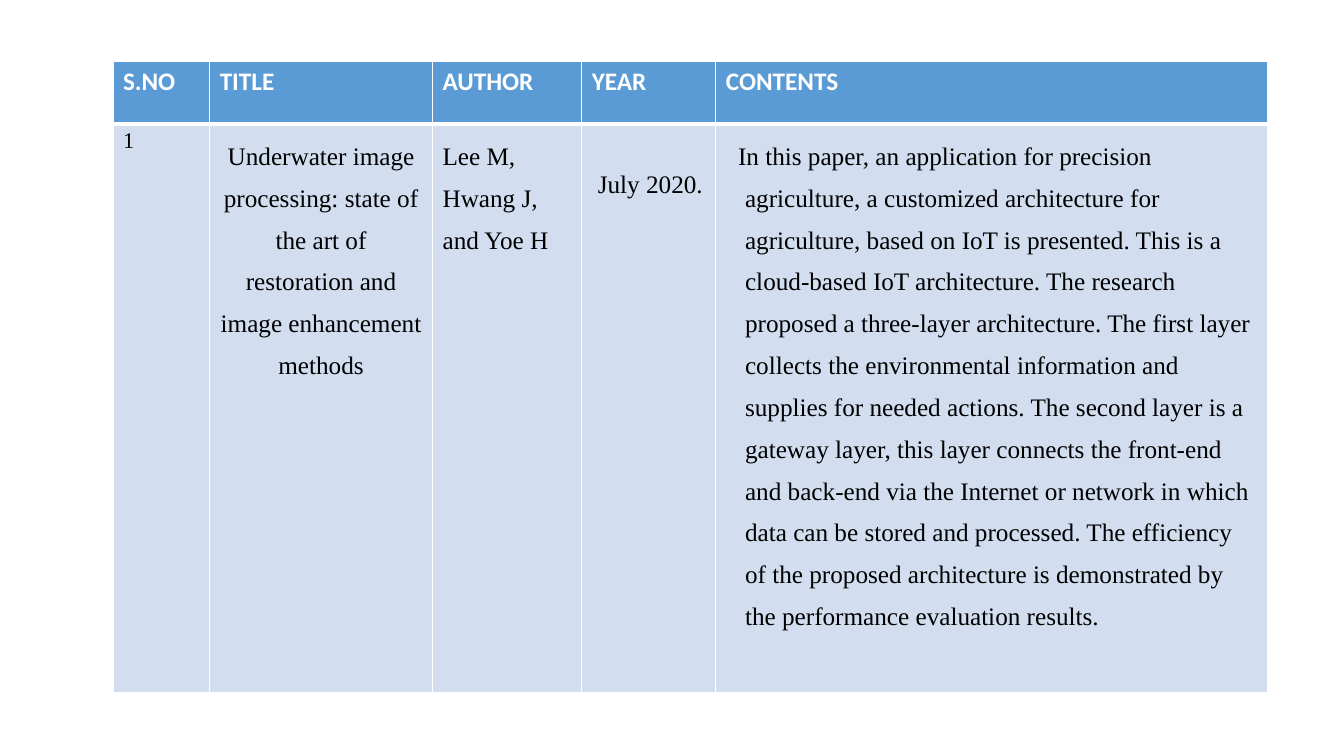
from lxml.etree import SubElement as Sub
from pptx import Presentation
from pptx.dml.color import RGBColor as Color
from pptx.enum.text import PP_ALIGN as Align
from pptx.oxml.ns import qn
from pptx.util import Inches, Pt

HEX = {"head": "5B9BD5", "body": "D2DEEF", "line": "FFFFFF",
       "light": "FFFFFF", "dark": "000000"}
COLS = [0.96, 2.21, 1.48, 1.33, 5.47]
ROWS = [0.62, 5.64]
TITLES = ["S.NO", "TITLE", "AUTHOR", "YEAR", "CONTENTS"]
PAPER = (
    "In this paper, an application for precision agriculture, a customized "
    "architecture for agriculture, based on IoT is presented. This is a "
    "cloud-based IoT architecture. The research proposed a three-layer "
    "architecture. The first layer collects the environmental information and "
    "supplies for needed actions. The second layer is a gateway layer, this "
    "layer connects the front-end and back-end via the Internet or network in "
    "which data can be stored and processed. The efficiency of the proposed "
    "architecture is demonstrated by the performance evaluation results."
)
HEAD = {"name": "Calibri", "size": Pt(18), "bold": True}
BODY = {"name": "Times New Roman", "size": Pt(18), "bold": False}
SMALL = {**BODY, "size": Pt(16)}
WIDE = {"line_spacing": 1.5}
ENTRY = [
    ("1", SMALL, {}),
    ("Underwater image processing: state of the art of restoration and image "
     "enhancement methods", BODY, {**WIDE, "alignment": Align.CENTER}),
    ("Lee M, Hwang J, and Yoe H", BODY, WIDE),
    ("July 2020.", BODY, WIDE),
    (PAPER, BODY, WIDE),
]


def apply(item, values):
    for key, value in values.items():
        setattr(item, key, value)


def edge(cell, widths):
    props = cell._tc.get_or_add_tcPr()
    for side, width in widths.items():
        line = Sub(props, qn("a:ln" + side), w=str(Pt(width)))
        fill = Sub(line, qn("a:solidFill"))
        Sub(fill, qn("a:srgbClr"), val=HEX["line"])


def write(cell, text, font, para, fill, ink):
    cell.fill.solid()
    cell.fill.fore_color.rgb = Color.from_string(HEX[fill])
    part = cell.text_frame.paragraphs[0]
    apply(part, para)
    run = part.add_run()
    run.text = text
    apply(run.font, font)
    run.font.color.rgb = Color.from_string(HEX[ink])


def indent(cell, left, first):
    props = cell.text_frame.paragraphs[0]._p.get_or_add_pPr()
    props.set("marL", str(Inches(left)))
    props.set("indent", str(Inches(first)))


def add_grid(slide):
    grid = slide.shapes.add_table(
        len(ROWS), len(COLS), Inches(1.12), Inches(0.61),
        Inches(sum(COLS)), Inches(sum(ROWS))).table
    for col, width in zip(grid.columns, COLS):
        col.width = Inches(width)
    for row, height in zip(grid.rows, ROWS):
        row.height = Inches(height)
    return grid


def main():
    deck = Presentation()
    apply(deck, {"slide_width": Inches(13.33), "slide_height": Inches(7.5)})
    slide = deck.slides.add_slide(deck.slide_layouts[6])
    grid = add_grid(slide)
    for col, (title, entry) in enumerate(zip(TITLES, ENTRY)):
        top, low = grid.cell(0, col), grid.cell(1, col)
        edge(top, {"L": 1, "R": 1, "T": 1, "B": 3})
        edge(low, {"L": 1, "R": 1, "T": 3, "B": 1})
        write(top, title, HEAD, {}, "head", "light")
        write(low, *entry, "body", "dark")
    apply(grid.cell(1, 3), {"margin_top": Inches(0.33),
                            "margin_left": Inches(0.16)})
    indent(grid.cell(1, 4), 0.19, -0.07)
    deck.save("out.pptx")


if __name__ == "__main__":
    main()
